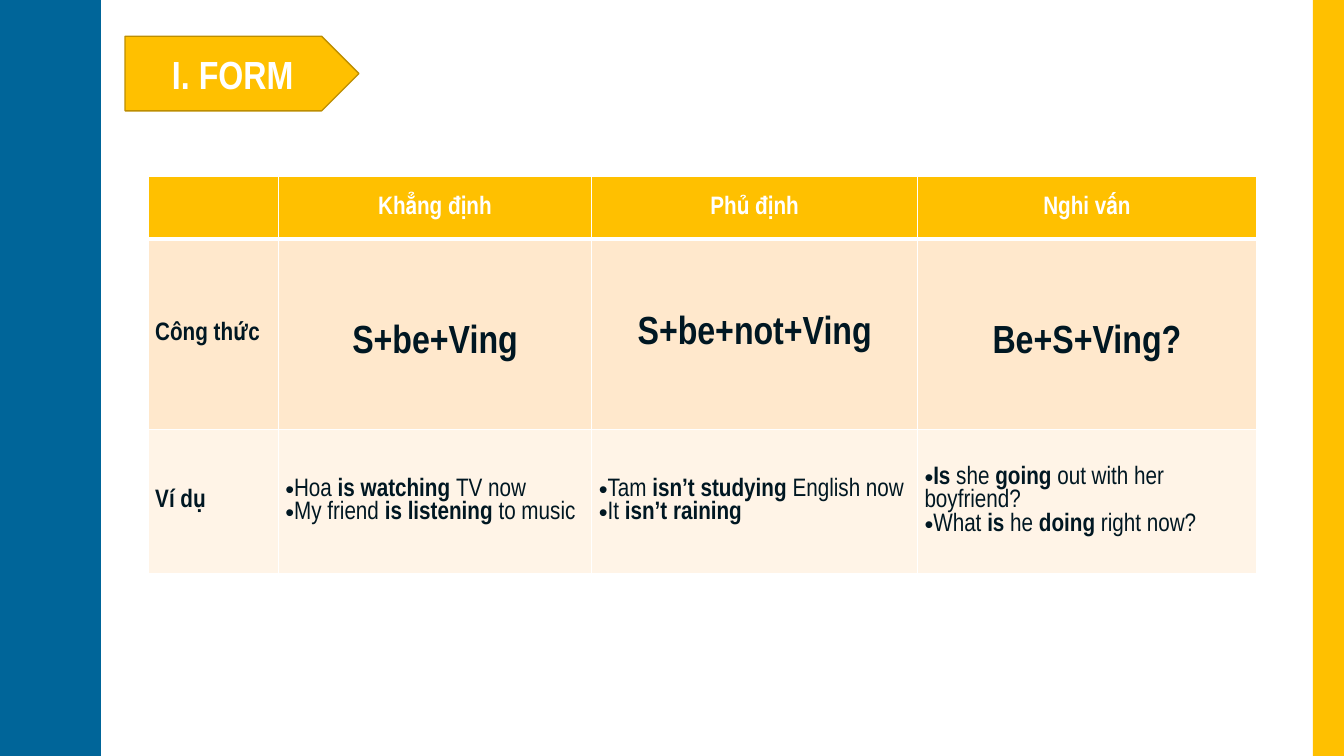
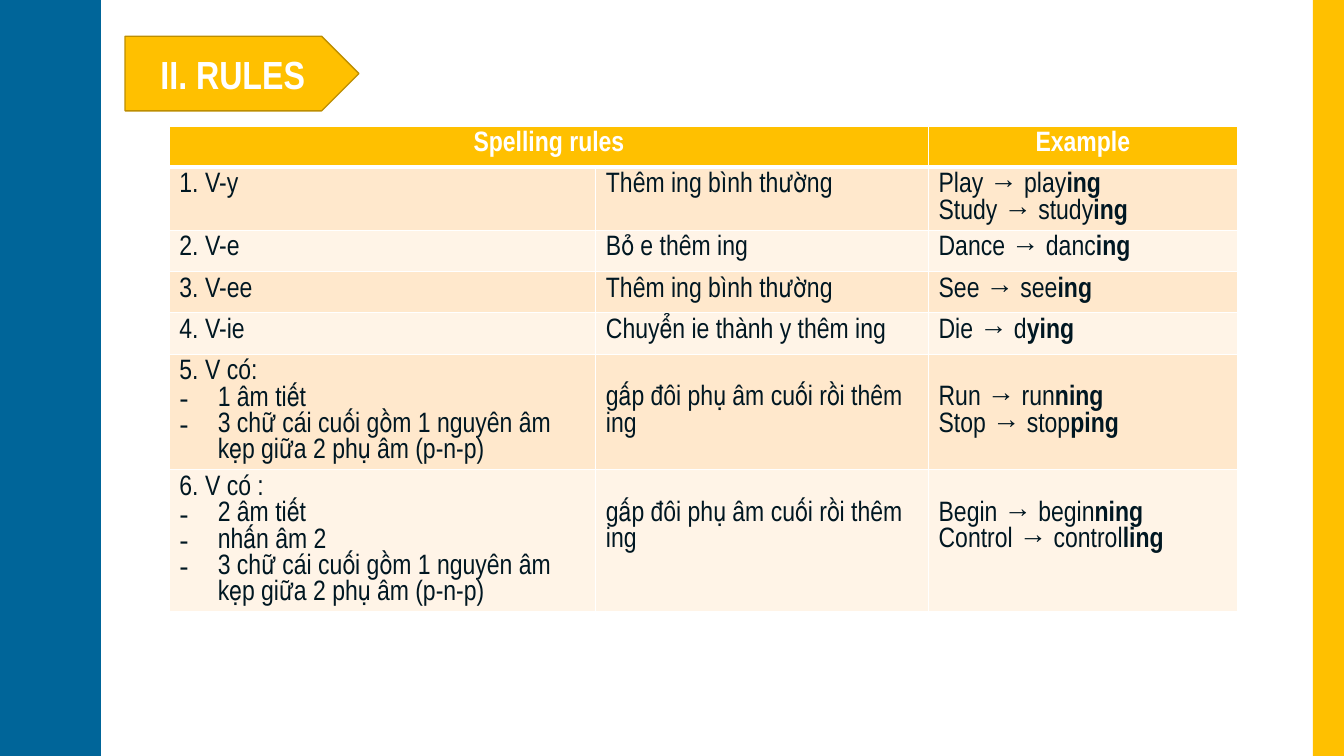
from dataclasses import dataclass

from lxml import etree
from pptx import Presentation
from pptx.dml.color import RGBColor
from pptx.enum import shapes, text
from pptx.oxml.ns import qn
from pptx.util import Inches, Pt


@dataclass(frozen=True)
class Theme:
    font: str = "Arial Narrow"
    blue: str = "006599"
    gold: str = "FFC000"
    gold_line: str = "BD8E00"
    bands: tuple = ("FFE8CC", "FFF4E7")
    ink: str = "001722"
    white: str = "FFFFFF"
    title: int = 28
    rules: int = 20
    body: int = 18


@dataclass
class Cell:
    """Cell text: ** switches bold, a leading "•" or "-" makes a bullet."""
    text: str
    size: int = 0
    center: bool = False
    spacing: float = 1
    drop: float = 0


T = Theme()
CENTER = text.PP_ALIGN.CENTER
MIDDLE = text.MSO_ANCHOR.MIDDLE
TOP = text.MSO_ANCHOR.TOP
TITLE_BOX = (1.24, 0.36, 2.32, 0.74)
DASH_INDENT = 0.38


def rgb(color):
    return RGBColor.from_string(color)


def set_bullet(p, mark):
    """Dashes hang in an indent; dots sit directly before the text."""
    indent = Inches(DASH_INDENT) if mark == "-" else 0
    pPr = p._p.get_or_add_pPr()
    pPr.set("marL", str(indent))
    pPr.set("indent", str(-indent))
    etree.SubElement(pPr, qn("a:buFont")).set("typeface", "Arial")
    etree.SubElement(pPr, qn("a:buChar")).set("char", mark)


def write(tf, content, size=T.body, color=T.ink, bold=False, align=None,
          spacing=1):
    tf.word_wrap = True
    for i, line in enumerate(content.split("\n")):
        p = tf.paragraphs[0] if i == 0 else tf.add_paragraph()
        p.alignment = align
        if spacing != 1:
            p.line_spacing = spacing
        if line[0] in "•-":
            set_bullet(p, line[0])
            line = line[1:]
        for k, part in enumerate(line.split("**")):
            if not part:
                continue
            r = p.add_run()
            r.text = part
            r.font.name, r.font.size = T.font, Pt(size)
            r.font.bold = bold or k % 2 == 1
            r.font.color.rgb = rgb(color)


def paint(sp, fill, line=None):
    sp.shadow.inherit = False
    sp.fill.solid()
    sp.fill.fore_color.rgb = rgb(fill)
    if line:
        sp.line.color.rgb = rgb(line)
        sp.line.width = Pt(1)
    else:
        sp.line.fill.background()


# Shared frame
def wave_points():
    """Edge of ten half waves, each the mirror of the one before."""
    half = [(0.78, 0), (0.78, 0.07), (0.79, 0.14), (0.8, 0.2), (0.81, 0.25),
            (0.83, 0.29), (0.85, 0.33), (0.87, 0.38), (0.89, 0.42),
            (0.91, 0.46), (0.93, 0.5), (0.95, 0.55), (0.96, 0.61),
            (0.97, 0.68), (0.97, 0.75)]
    points = []
    for n in range(10):
        start = n * 0.75
        if n % 2 == 0:
            points += [(x, start + y) for x, y in half]
        else:
            points += [(x, start + 0.75 - y) for x, y in reversed(half)]
    return points


def frame_layout(layout, s):
    """Draw the bands and title arrow, then move them to the layout."""
    fb = s.shapes.build_freeform(0, 0, scale=Inches(1))
    fb.add_line_segments(wave_points() + [(0, 7.5)], close=True)
    wave = fb.convert_to_shape()
    paint(wave, T.blue)

    band = s.shapes.add_shape(shapes.MSO_SHAPE.RECTANGLE, Inches(13.02), 0,
                              Inches(0.31), Inches(7.5))
    paint(band, T.gold)

    x, y, w, h = TITLE_BOX
    arrow = s.shapes.add_shape(shapes.MSO_SHAPE.PENTAGON, Inches(x),
                               Inches(y), Inches(w), Inches(h))
    paint(arrow, T.gold, T.gold_line)

    for i, sp in enumerate((wave, band, arrow)):
        sp.element.nvSpPr.cNvPr.set("id", str(100 + i))
        layout.shapes.element.insert(2 + i, sp.element)

    # The title text stops halfway along the arrow's point
    title = layout.placeholders[0]
    title.left, title.top = Inches(x), Inches(y)
    title.width, title.height = Inches(w - h / 4), Inches(h)


def add_title(s, content):
    tf = s.shapes.title.text_frame
    tf.auto_size = text.MSO_AUTO_SIZE.NONE
    tf.vertical_anchor = MIDDLE
    write(tf, content, size=T.title, color=T.white, bold=True, align=CENTER)


# Tables
def set_borders(cell, row):
    """White grid with a heavier line below the header row."""
    tcPr = cell._tc.get_or_add_tcPr()
    heavy = {0: "B", 1: "T"}.get(row)
    for side in "LRTB":
        ln = etree.SubElement(tcPr, qn("a:ln" + side))
        ln.set("w", str(Pt(3 if side == heavy else 1)))
        fill = etree.SubElement(ln, qn("a:solidFill"))
        etree.SubElement(fill, qn("a:srgbClr")).set("val", T.white)


def add_grid(s, left, top, cols, heights, rows, size, inset, header_anchor,
             body_anchor):
    frame = s.shapes.add_table(len(rows), len(cols), Inches(left),
                               Inches(top), Inches(sum(cols)),
                               Inches(sum(heights)))
    table = frame.table
    table.horz_banding = False
    for col, width in zip(table.columns, cols):
        col.width = Inches(width)
    for row, height in zip(table.rows, heights):
        row.height = Inches(height)

    for i, row in enumerate(rows):
        header = i == 0
        for j, item in enumerate(row):
            cell = table.cell(i, j)
            set_borders(cell, i)
            cell.fill.solid()
            cell.fill.fore_color.rgb = rgb(
                T.gold if header else T.bands[(i - 1) % 2])
            item = item if isinstance(item, Cell) else Cell(item)
            cell.margin_left = cell.margin_right = Inches(inset[0])
            cell.margin_top = Inches(inset[1] + item.drop)
            cell.margin_bottom = Inches(inset[1])
            cell.vertical_anchor = header_anchor if header else body_anchor
            if item.text:
                write(cell.text_frame, item.text, size=item.size or size,
                      color=T.white if header else T.ink, bold=header,
                      align=CENTER if header or item.center else None,
                      spacing=item.spacing)
    return table


# Slides
def formula(content, spacing=1):
    return Cell(f"**{content}**", size=T.title, center=True, spacing=spacing)


def lowered(content):
    """Start one line down, level with the first dash of the rule."""
    return Cell(content, drop=0.26)


def form_slide(s):
    add_title(s, "I. FORM")
    rows = [
        ["", "Khẳng định", "Phủ định", "Nghi vấn"],
        ["**Công thức**", formula("S+be+Ving", 1.5),
         formula("S+be+not+Ving"), formula("Be+S+Ving?", 1.5)],
        ["**Ví dụ**",
         "•Hoa **is watching **TV now\n"
         "•My friend **is listening **to music",
         "•Tam **isn’t studying **English now\n•It **isn’t raining**",
         "•**Is** she **going** out with her boyfriend?\n"
         "•What **is** he **doing** right now?"],
    ]
    add_grid(s, 1.47, 1.75, [1.29, 3.11, 3.23, 3.36], [0.62, 1.89, 1.43],
             rows, T.body, (0.07, 0.02), MIDDLE, MIDDLE)


def rules_slide(s):
    add_title(s, "II. RULES")
    usual = "Thêm ing bình thường"
    double = lowered("gấp đôi phụ âm cuối rồi thêm ing")
    pattern = "-3 chữ cái cuối gồm 1 nguyên âm kẹp giữa 2 phụ âm (p-n-p)"
    rows = [
        ["Spelling rules", "", "Example"],
        ["1. V-y", usual, "Play → play**ing**\nStudy → study**ing**"],
        ["2. V-e", "Bỏ e thêm ing", "Dance → danc**ing**"],
        ["3. V-ee", usual, "See → see**ing**"],
        ["4. V-ie", "Chuyển ie thành y thêm ing", "Die → d**ying**"],
        ["5. V có:\n-1 âm tiết\n" + pattern, double,
         lowered("Run → run**ning**\nStop → stop**ping**")],
        ["6. V có :\n-2 âm tiết\n-nhấn âm 2\n" + pattern, double,
         lowered("Begin → begin**ning**\nControl → control**ling**")],
    ]
    table = add_grid(s, 1.68, 1.25, [4.23, 3.3, 3.06],
                     [0.41, 0.62, 0.41, 0.41, 0.41, 1.14, 1.41],
                     rows, T.rules, (0.1, 0.05), TOP, TOP)
    table.cell(0, 0).merge(table.cell(0, 1))


def main():
    prs = Presentation()
    prs.slide_width, prs.slide_height = Inches(13.33), Inches(7.5)
    layout = prs.slide_layouts.get_by_name("Title Only")
    slides = [prs.slides.add_slide(layout) for _ in range(2)]
    frame_layout(layout, slides[0])
    for build, s in zip((form_slide, rules_slide), slides):
        build(s)
    prs.save("out.pptx")


if __name__ == "__main__":
    main()
